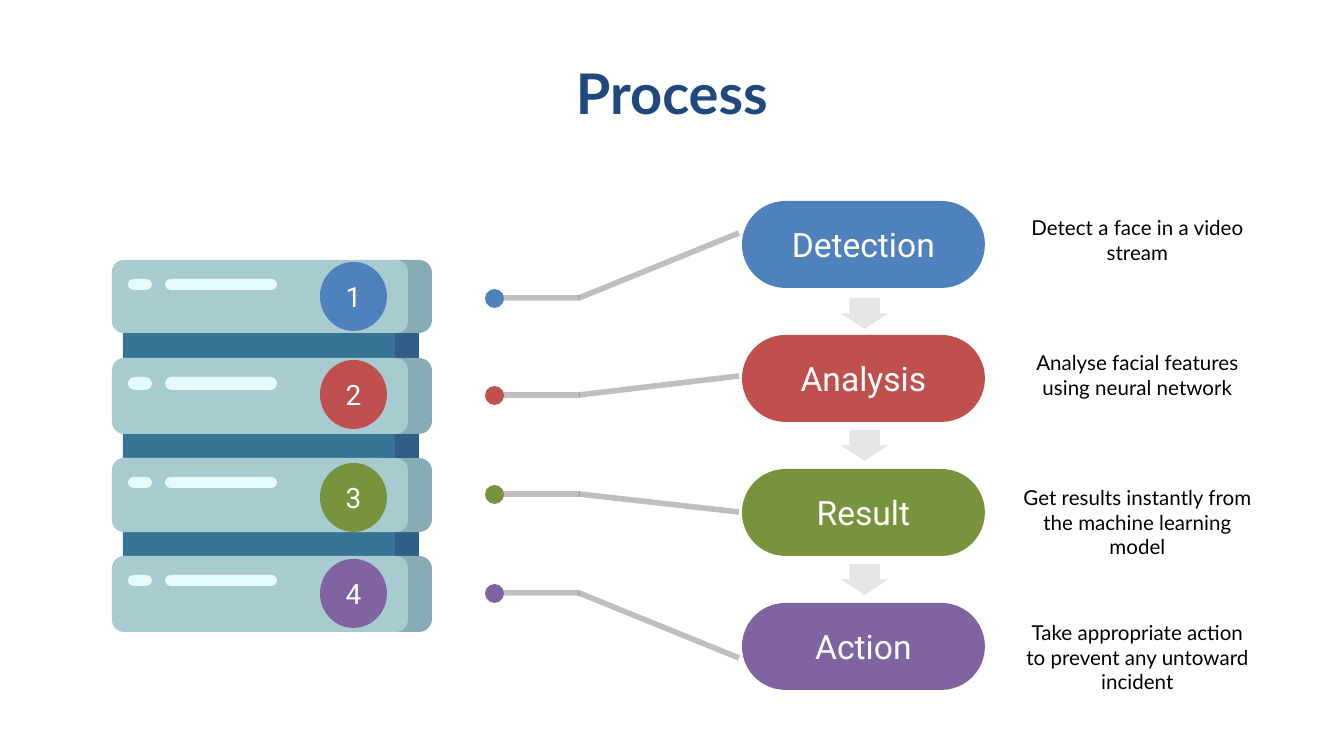
from pptx import Presentation
from pptx.dml.color import RGBColor
from pptx.enum.shapes import MSO_CONNECTOR as Connector, MSO_SHAPE as Shape
from pptx.enum.text import MSO_ANCHOR as Anchor, MSO_AUTO_SIZE as AutoSize, PP_ALIGN as Align
from pptx.oxml.ns import qn
from pptx.util import Emu, Pt
from lxml.etree import SubElement

EMU_PER_PX = 914400 / 134.4

BLUE = RGBColor(0x4F, 0x81, 0xBD)
RED = RGBColor(0xC0, 0x50, 0x4D)
GREEN = RGBColor(0x77, 0x93, 0x3C)
PURPLE = RGBColor(0x80, 0x64, 0xA2)
NAVY = RGBColor(0x1F, 0x49, 0x7D)
GRAY = RGBColor(0x80, 0x80, 0x80)
BLACK = RGBColor(0x00, 0x00, 0x00)
WHITE = RGBColor(0xFF, 0xFF, 0xFF)
RACK = RGBColor(0x36, 0x75, 0x96)
RACK_SIDE = RGBColor(0x2F, 0x5E, 0x88)
UNIT = RGBColor(0xA7, 0xCB, 0xCF)
UNIT_SIDE = RGBColor(0x88, 0xAC, 0xB5)
LIGHT = RGBColor(0xE5, 0xFA, 0xFC)

STEPS = [
    ("Detection", "Detect a face in a video stream", BLUE),
    ("Analysis", "Analyse facial features using neural network", RED),
    ("Result", "Get results instantly from the machine learning model", GREEN),
    ("Action", "Take appropriate action to prevent any untoward incident", PURPLE),
]
UNITS = [(260, 73), (358, 76), (458, 74), (556, 76)]
LIGHT_HEIGHTS = [11, 13, 11, 11]
BADGE_TOPS = [262, 360, 463, 559]
LEADS = [(298, 233), (395, 376), (494, 512), (593, 658)]
ARROW_TOPS = [298, 430, 564]
NOTE_HEIGHTS = [54, 54, 79, 79]


def px(value):
    return Emu(round(value * EMU_PER_PX))


def set_alpha(element, percent):
    for color in element.iter(qn("a:srgbClr")):
        SubElement(color, qn("a:alpha")).set("val", str(percent * 1000))


def write_text(item, text, size, font, color, bold=False, wrap=True):
    frame = item.text_frame
    frame.word_wrap = wrap
    frame.auto_size = AutoSize.NONE
    frame.margin_left = frame.margin_right = px(5)
    frame.margin_top = frame.margin_bottom = px(3)
    para = frame.paragraphs[0]
    para.text = text
    para.alignment = Align.CENTER
    para.font.size = Pt(size)
    para.font.name = font
    para.font.bold = bold
    para.font.color.rgb = color
    return frame


def add_block(page, kind, left, top, width, height, color, *adjustments):
    block = page.shapes.add_shape(kind, px(left), px(top), px(width), px(height))
    block.shadow.inherit = False
    block.fill.solid()
    block.fill.fore_color.rgb = color
    block.line.fill.background()
    for index, value in enumerate(adjustments):
        block.adjustments[index] = value
    return block


def add_turned_block(page, kind, left, top, width, height, color, *adjustments):
    shift = (width - height) / 2
    block = add_block(page, kind, left + shift, top - shift, height, width, color, *adjustments)
    block.rotation = 90
    return block


def add_lead_line(page, x1, y1, x2, y2):
    line = page.shapes.add_connector(Connector.STRAIGHT, px(x1), px(y1), px(x2), px(y2))
    line.line.width = Pt(3)
    line.line.color.rgb = GRAY
    properties = line._element.spPr
    set_alpha(properties, 50)
    SubElement(properties, qn("a:effectLst"))


def add_title(page, text):
    title = page.shapes.title
    title.left, title.top, title.width, title.height = px(570), px(56), px(204), px(73)
    frame = write_text(title, text, 30, "Lato", NAVY, bold=True, wrap=False)
    frame.vertical_anchor = Anchor.TOP


def add_note(page, top, height, text):
    box = page.shapes.add_textbox(px(1015), px(top), px(245), px(height))
    write_text(box, text, 11, "Lato", BLACK)


def add_server(page):
    add_block(page, Shape.RECTANGLE, 379, 317, 40, 255, RACK_SIDE)
    add_block(page, Shape.RECTANGLE, 123, 317, 272, 255, RACK)
    for (top, height), light_height in zip(UNITS, LIGHT_HEIGHTS):
        add_turned_block(page, Shape.ROUND_2_SAME_RECTANGLE, 395, top, 37, height, UNIT_SIDE, 0.35, 0)
        add_block(page, Shape.ROUNDED_RECTANGLE, 112, top, 296, height, UNIT, 0.16)
        for left, width in ((165, 112), (128, 24)):
            add_block(page, Shape.ROUNDED_RECTANGLE, left, top + 19, width, light_height, LIGHT, 0.5)


def add_badge(page, top, number, color):
    badge = add_block(page, Shape.OVAL, 320, top, 67, 69, color)
    write_text(badge, str(number), 15, "Roboto", WHITE)


def add_pill(page, top, text, color):
    pill = add_block(page, Shape.ROUNDED_RECTANGLE, 742, top, 243, 87, color, 0.5)
    write_text(pill, text, 18, "Roboto", WHITE)


def add_lead(page, start, end, color):
    add_lead_line(page, 579, start, 739, end)
    add_lead_line(page, 580, start, 489, start)
    add_block(page, Shape.OVAL, 485, start - 9, 19, 19, color)


def add_arrow(page, top):
    arrow = add_turned_block(page, Shape.RIGHT_ARROW, 841, top, 47, 31, GRAY, 0.65, 0.5)
    set_alpha(arrow._element.spPr, 20)


def main():
    deck = Presentation()
    deck.slide_width, deck.slide_height = px(1344), px(756)
    page = deck.slides.add_slide(deck.slide_layouts[5])
    add_title(page, "Process")
    add_server(page)
    for index, (name, note, color) in enumerate(STEPS):
        add_badge(page, BADGE_TOPS[index], index + 1, color)
        add_lead(page, *LEADS[index], color)
        add_pill(page, 201 + 134 * index, name, color)
        add_note(page, 212 + 135 * index, NOTE_HEIGHTS[index], note)
    for top in ARROW_TOPS:
        add_arrow(page, top)
    deck.save("out.pptx")


if __name__ == "__main__":
    main()
